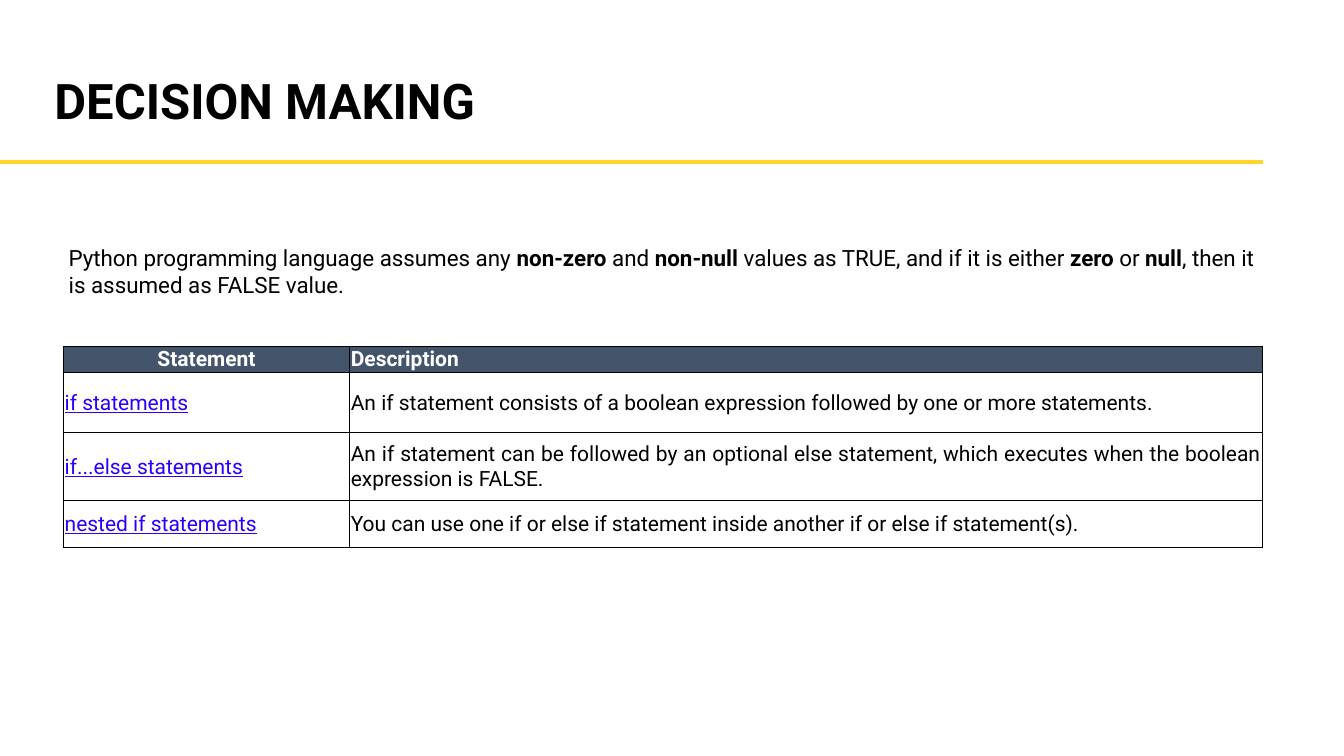
"""Builds the slide on decision making in Python."""
from dataclasses import dataclass

from lxml.etree import SubElement
from pptx import Presentation
from pptx.dml.color import RGBColor
from pptx.enum.shapes import MSO_CONNECTOR as Connector
from pptx.enum.text import MSO_ANCHOR as Anchor, MSO_AUTO_SIZE as AutoSize, PP_ALIGN as Align
from pptx.oxml.ns import qn
from pptx.util import Cm, Pt

FONT = "Roboto"
BLACK, WHITE, YELLOW, SLATE, LINK_BLUE = "000000", "FFFFFF", "FFD42E", "44546A", "2800FF"


@dataclass(frozen=True)
class Row:
    """One table row: its texts and height in centimetres."""
    statement: str
    description: str
    height: float
    header: bool = False


ROWS = [
    Row("Statement", "Description", 0.61, header=True),
    Row("if statements", "An if statement consists of a boolean expression followed by "
        "one or more statements.", 1.53),
    Row("if...else statements", "An if statement can be followed by an optional else statement, "
        "which executes when the boolean expression is FALSE.", 1.7),
    Row("nested if statements", "You can use one if or else if statement inside another if "
        "or else if statement(s).", 1.19),
]
COLUMN_WIDTHS = [7.21, 23.01]
INTRO = ("Python programming language assumes any **non-zero** and **non-null** values as TRUE, "
         "and if it is either **zero** or **null**, then it is assumed as FALSE value.")


def colour(code: str) -> RGBColor:
    """Turn a hex string into a colour."""
    return RGBColor.from_string(code)


def write(frame, text: str, *, size: float, ink: str = BLACK, bold: bool = False,
          underline: bool = False, align: Align = Align.LEFT) -> None:
    """Write one paragraph, switching bold at each double asterisk."""
    para = frame.paragraphs[0]
    para.alignment = align
    for index, part in enumerate(text.split("**")):
        span = para.add_run()
        span.text = part
        font = span.font
        font.name, font.size, font.underline = FONT, Pt(size), underline
        font.bold = bold != (index % 2 == 1)
        font.color.rgb = colour(ink)


def add_title(slide, text: str) -> None:
    """Place and fill the title placeholder."""
    title = slide.shapes.title
    title.left, title.top, title.width, title.height = Cm(1.37), Cm(1.78), Cm(20), Cm(1.63)
    frame = title.text_frame
    frame.margin_left = frame.margin_top = frame.margin_right = 0
    frame.margin_bottom = Cm(0.13)
    frame.vertical_anchor = Anchor.TOP
    frame.auto_size = AutoSize.NONE
    write(frame, text, size=35, bold=True)


def add_rule(slide) -> None:
    """Draw the yellow line below the title."""
    rule = slide.shapes.add_connector(Connector.STRAIGHT, 0, Cm(4.09), Cm(31.83), Cm(4.09))
    rule.line.color.rgb = colour(YELLOW)
    rule.line.width = Pt(3)
    SubElement(rule.element.spPr, qn("a:effectLst"))


def add_intro(slide, text: str) -> None:
    """Add the introductory paragraph."""
    box = slide.shapes.add_textbox(Cm(1.48), Cm(6.02), Cm(30.45), Cm(1.63))
    box.text_frame.word_wrap = True
    write(box.text_frame, text, size=16)


def add_borders(cell) -> None:
    """Give a cell a thin black border on all sides."""
    properties = cell._tc.get_or_add_tcPr()
    for side in ("a:lnL", "a:lnR", "a:lnT", "a:lnB"):
        line = SubElement(properties, qn(side), w=str(Pt(0.5)))
        SubElement(SubElement(line, qn("a:solidFill")), qn("a:srgbClr"), val=BLACK)


def format_cell(cell, fill: str, anchor: Anchor) -> None:
    """Set a cell's borders, fill, margins and anchor."""
    add_borders(cell)
    cell.fill.solid()
    cell.fill.fore_color.rgb = colour(fill)
    cell.margin_left = cell.margin_top = cell.margin_right = Cm(0.03)
    cell.margin_bottom = 0
    cell.vertical_anchor = anchor


def add_statement_table(slide, rows: list[Row]) -> None:
    """Add the table of statements and descriptions."""
    table = slide.shapes.add_table(len(rows), len(COLUMN_WIDTHS), Cm(1.6), Cm(8.72),
                                   Cm(sum(COLUMN_WIDTHS)),
                                   Cm(sum(row.height for row in rows))).table
    table.horz_banding = False
    for column, width in zip(table.columns, COLUMN_WIDTHS):
        column.width = Cm(width)
    for index, row in enumerate(rows):
        table.rows[index].height = Cm(row.height)
        statement, description = table.cell(index, 0), table.cell(index, 1)
        fill = SLATE if row.header else WHITE
        format_cell(statement, fill, Anchor.MIDDLE)
        format_cell(description, fill, Anchor.BOTTOM if row.header else Anchor.MIDDLE)
        if row.header:
            write(statement.text_frame, row.statement, size=15, ink=WHITE, bold=True,
                  align=Align.CENTER)
            write(description.text_frame, row.description, size=15, ink=WHITE, bold=True)
        else:
            write(statement.text_frame, row.statement, size=15, ink=LINK_BLUE, underline=True)
            write(description.text_frame, row.description, size=15, align=Align.JUSTIFY)


def main() -> None:
    """Build and save the deck."""
    deck = Presentation()
    deck.slide_width, deck.slide_height = Cm(33.87), Cm(19.05)
    slide = deck.slides.add_slide(deck.slide_layouts[5])
    add_rule(slide)
    add_title(slide, "DECISION MAKING")
    add_statement_table(slide, ROWS)
    add_intro(slide, INTRO)
    deck.save("out.pptx")


main()
